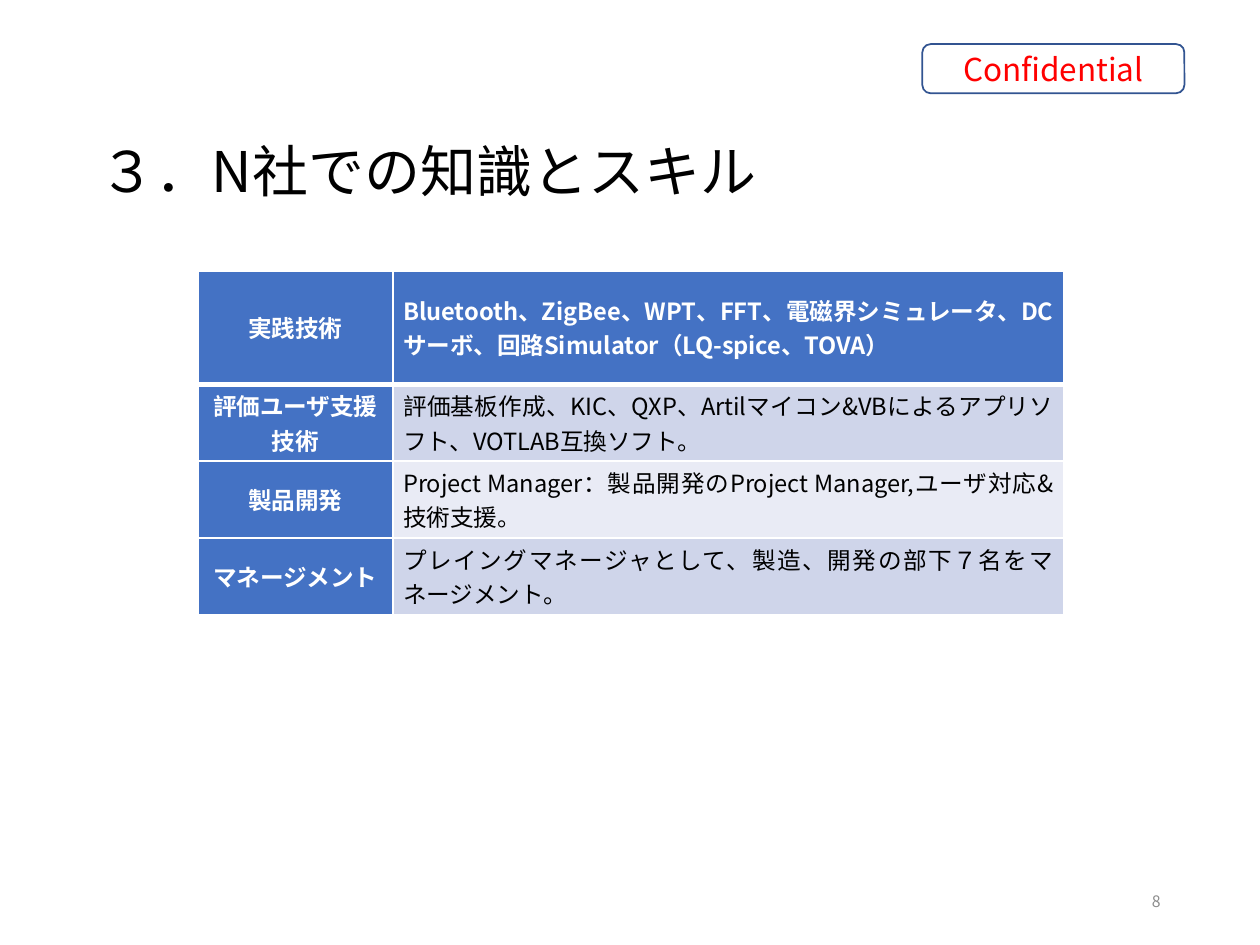
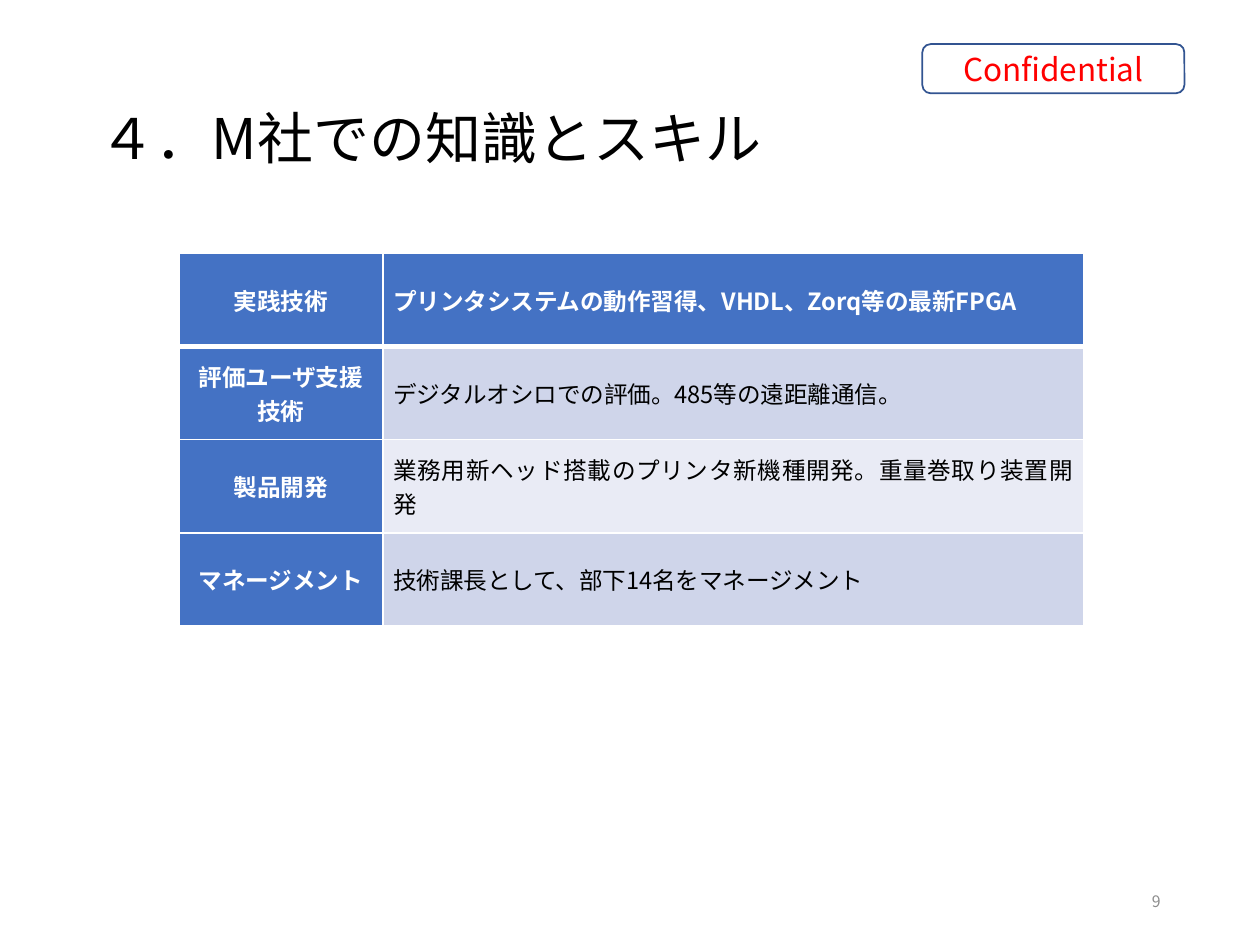
from lxml.etree import SubElement
from pptx import Presentation
from pptx.dml.color import RGBColor
from pptx.enum.shapes import MSO_SHAPE
from pptx.enum.text import MSO_ANCHOR, PP_ALIGN
from pptx.oxml import parse_xml
from pptx.oxml.ns import nsdecls, qn
from pptx.util import Inches, Pt

FONT = "Noto Sans CJK JP"
COLORS = {
    "text": "000000",
    "white": "FFFFFF",
    "head": "4472C4",
    "band": "CFD5EA",
    "pale": "E9EBF5",
    "edge": "325491",
    "alert": "FF0000",
    "page": "8C8C8C",
}
TOPICS = ["実践技術", "評価ユーザ支援技術", "製品開発", "マネージメント"]
SLIDES = [
    {
        "title": "３．N社での知識とスキル",
        "top": 0.66,
        "page": 8,
        "place": (1.57, 2.15),
        "cols": [1.55, 5.32],
        "rows": [0.9, 0.61, 0.61, 0.61],
        "skills": [
            "Bluetooth、ZigBee、WPT、FFT、電磁界シミュレータ、"
            "DCサーボ、回路Simulator（LQ-spice、TOVA）",
            "評価基板作成、KIC、QXP、Artilマイコン&VBによるアプリソフト、VOTLAB互換ソフト。",
            "Project Manager：製品開発のProject Manager,ユーザ対応&技術支援。",
            "プレイングマネージャとして、製造、開発の部下７名をマネージメント。",
        ],
    },
    {
        "title": "４．M社での知識とスキル",
        "top": 0.4,
        "page": 9,
        "place": (1.42, 2.01),
        "cols": [1.62, 5.56],
        "rows": [0.74] * 4,
        "skills": [
            "プリンタシステムの動作習得、VHDL、Zorq等の最新FPGA",
            "デジタルオシロでの評価。485等の遠距離通信。",
            "業務用新ヘッド搭載のプリンタ新機種開発。重量巻取り装置開発",
            "技術課長として、部下14名をマネージメント",
        ],
    },
]


def rgb(name):
    return RGBColor.from_string(COLORS[name])


def write(frame, text, size, color="text", bold=False, align=PP_ALIGN.LEFT, spacing=None):
    frame.word_wrap = True
    para = frame.paragraphs[0]
    para.alignment = align
    para.line_spacing = spacing
    run = para.add_run()
    run.text = text
    font = run.font
    font.name, font.size, font.bold = FONT, Pt(size), bold
    font.color.rgb = rgb(color)
    SubElement(font._element, qn("a:ea"), typeface=FONT)


def add_text(slide, text, box, **style):
    frame = slide.shapes.add_textbox(*map(Inches, box)).text_frame
    frame.vertical_anchor = MSO_ANCHOR.MIDDLE
    write(frame, text, **style)


def add_stamp(slide):
    box = map(Inches, (7.32, 0.35, 2.08, 0.39))
    stamp = slide.shapes.add_shape(MSO_SHAPE.ROUNDED_RECTANGLE, *box)
    stamp.shadow.inherit = False
    stamp.fill.background()
    stamp.line.color.rgb = rgb("edge")
    stamp.line.width = Pt(1)
    stamp.text_frame.vertical_anchor = MSO_ANCHOR.MIDDLE
    write(stamp.text_frame, "Confidential", size=18, color="alert", align=PP_ALIGN.CENTER)


def set_edges(cell, base):
    """Draw white cell borders; base is the width of the lower one in points."""
    props = cell._tc.get_or_add_tcPr()
    for index, (side, width) in enumerate(zip("LRTB", (1, 1, 1, base))):
        edge = parse_xml(
            f'<a:ln{side} {nsdecls("a")} w="{Pt(width)}"><a:solidFill>'
            f'<a:srgbClr val="{COLORS["white"]}"/></a:solidFill></a:ln{side}>'
        )
        props.insert(index, edge)


def fill_cell(cell, text, fill, base, **style):
    cell.fill.solid()
    cell.fill.fore_color.rgb = rgb(fill)
    set_edges(cell, base)
    cell.vertical_anchor = MSO_ANCHOR.MIDDLE
    cell.margin_left = cell.margin_right = Inches(0.08)
    cell.margin_top = cell.margin_bottom = 0
    write(cell.text_frame, text, size=13.5, **style)


def add_skills(slide, place, cols, rows, skills):
    box = map(Inches, (*place, sum(cols), sum(rows)))
    table = slide.shapes.add_table(len(rows), len(cols), *box).table
    for col, width in zip(table.columns, cols):
        col.width = Inches(width)
    for index, (topic, skill) in enumerate(zip(TOPICS, skills)):
        table.rows[index].height = Inches(rows[index])
        first = index == 0
        base = 3 if first else 1
        fill = "head" if first else ("pale", "band")[index % 2]
        fill_cell(table.cell(index, 0), topic, "head", base,
                  color="white", bold=True, align=PP_ALIGN.CENTER)
        fill_cell(table.cell(index, 1), skill, fill, base,
                  color="white" if first else "text", bold=first, align=PP_ALIGN.JUSTIFY)


def main():
    deck = Presentation()
    deck.slide_width, deck.slide_height = Inches(10), Inches(7.5)
    for data in SLIDES:
        slide = deck.slides.add_slide(deck.slide_layouts[6])
        add_text(slide, data["title"], (0.69, data["top"], 8.62, 1.45), size=32, spacing=0.9)
        add_text(slide, str(data["page"]), (7.06, 6.95, 2.25, 0.4),
                 size=9, color="page", align=PP_ALIGN.RIGHT)
        add_stamp(slide)
        add_skills(slide, data["place"], data["cols"], data["rows"], data["skills"])
    deck.save("out.pptx")


if __name__ == "__main__":
    main()
